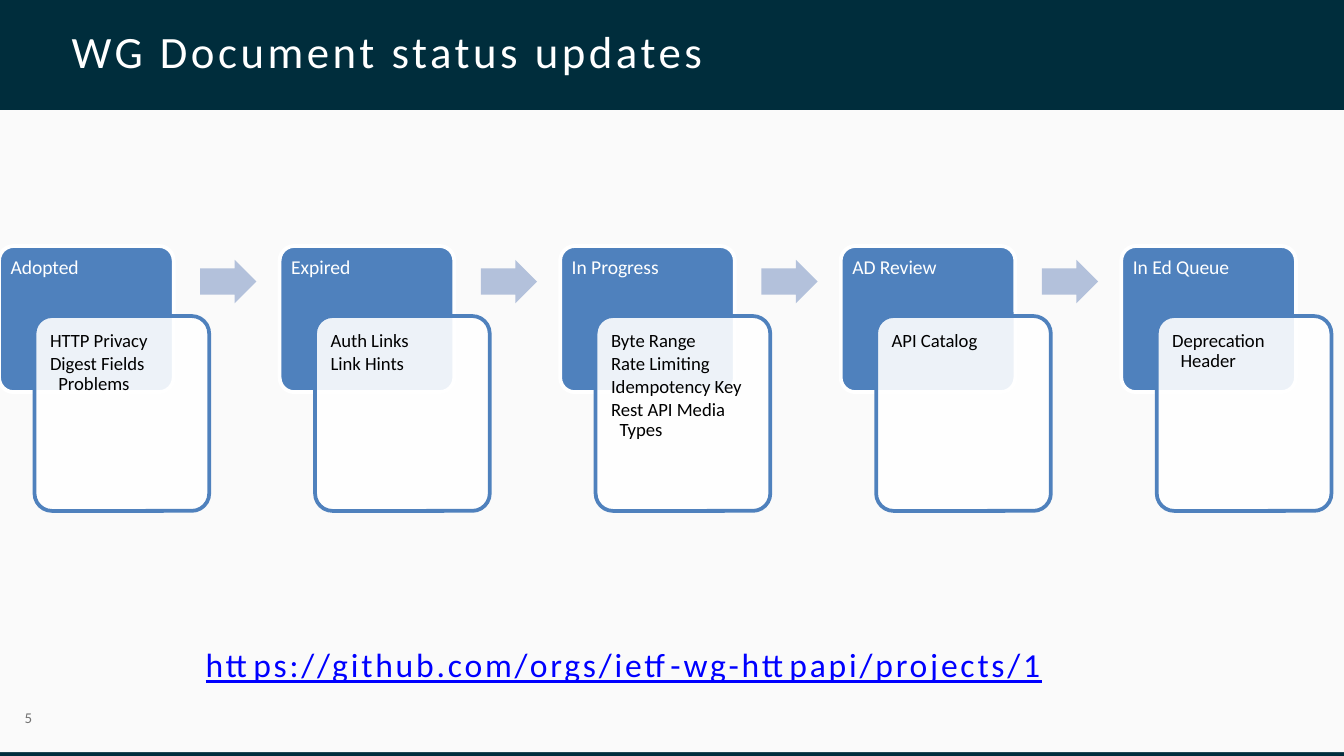
import pptx
import pptx.dml.color
import pptx.enum.shapes
import pptx.enum.text
import pptx.oxml.ns
import pptx.util
from lxml import etree

Pt = pptx.util.Pt
SHAPES = pptx.enum.shapes.MSO_SHAPE

NAVY, PAPER, WHITE, BLACK = "002D3C", "FAFAFA", "FFFFFF", "000000"
BLUE, PALE_BLUE, LINK_BLUE, GREY = "4F81BD", "B3C1DB", "0000FF", "737373"

STAGES = [
    ("Adopted", ["HTTP Privacy", "Digest Fields Problems"]),
    ("Expired", ["Auth Links", "Link Hints"]),
    ("In Progress", ["Byte Range", "Rate Limiting", "Idempotency Key",
                     "Rest API Media Types"]),
    ("AD Review", ["API Catalog"]),
    ("In Ed Queue", ["Deprecation Header"]),
]
FIRST_LEFT, STAGE_PITCH = -0.5, 150.3
STAGE_TOP, STAGE_WIDTH = 131.8, 93.6


def colour(hex_string):
    return pptx.dml.color.RGBColor.from_string(hex_string)


class StatusSlide:
    """Holds the style and the slide being drawn; all lengths are in points."""

    font_name = "Calibri"

    def __init__(self, slide):
        self.shapes = slide.shapes

    def shape(self, kind, left, top, width, height, fill, line=None,
              opacity=None, adjustments=()):
        item = self.shapes.add_shape(kind, Pt(left), Pt(top), Pt(width), Pt(height))
        item.shadow.inherit = False
        for index, value in enumerate(adjustments):
            item.adjustments[index] = value
        item.fill.solid()
        item.fill.fore_color.rgb = colour(fill)
        if opacity is not None:
            srgb = item.fill._xPr.find(".//" + pptx.oxml.ns.qn("a:srgbClr"))
            alpha = etree.SubElement(srgb, pptx.oxml.ns.qn("a:alpha"))
            alpha.set("val", str(opacity * 1000))
        if line:
            item.line.color.rgb = colour(line)
            item.line.width = Pt(2)
        else:
            item.line.fill.background()

    def text(self, lines, left, top, width, height, *, size, color, insets=(0, 0, 0, 0),
             indent=0, hanging=0, tracking=0, line_spacing=None, space_after=0,
             underline=None, wrap=True):
        """Add a text box with one paragraph per line; insets go left, top, right, bottom."""
        box = self.shapes.add_textbox(Pt(left), Pt(top), Pt(width), Pt(height))
        frame = box.text_frame
        frame.word_wrap = wrap
        frame.vertical_anchor = pptx.enum.text.MSO_ANCHOR.TOP
        (frame.margin_left, frame.margin_top,
         frame.margin_right, frame.margin_bottom) = map(Pt, insets)
        for index, line in enumerate(lines):
            paragraph = frame.add_paragraph() if index else frame.paragraphs[0]
            properties = paragraph._p.get_or_add_pPr()
            properties.set("marL", str(Pt(indent)))
            properties.set("indent", str(Pt(-hanging)))
            paragraph.line_spacing = line_spacing
            paragraph.space_after = Pt(space_after)
            run = paragraph.add_run()
            run.text = line
            run.font.name = self.font_name
            run.font.size = Pt(size)
            run.font.color.rgb = colour(color)
            run.font.underline = underline
            if tracking:
                run._r.get_or_add_rPr().set("spc", str(round(tracking * 100)))

    def stage(self, left, heading, documents):
        """Draw a blue heading block with its document card overlapping it."""
        card_left, card_top = left + 19, STAGE_TOP + 37.5
        self.shape(SHAPES.ROUNDED_RECTANGLE, left, STAGE_TOP, STAGE_WIDTH, 78.3,
                   BLUE, line=WHITE, adjustments=[0.1])
        self.text([heading], left, STAGE_TOP, STAGE_WIDTH, 37.5, size=10.5,
                  color=WHITE, insets=(6.2, 6.2, 6.2, 3.5), line_spacing=0.9)
        self.shape(SHAPES.ROUNDED_RECTANGLE, card_left, card_top, STAGE_WIDTH, 104.4,
                   WHITE, line=BLUE, opacity=90, adjustments=[0.1])
        self.text(documents, card_left + 2.7, card_top + 2.7, 88, 98.8, size=10,
                  color=BLACK, insets=(5.6,) * 4, indent=4.5, hanging=4.5,
                  line_spacing=0.9, space_after=1.5)

    def arrow(self, left):
        self.shape(SHAPES.RIGHT_ARROW, left, 139.2, 30.1, 23.3, PALE_BLUE,
                   adjustments=[0.6, 0.5])


def main():
    deck = pptx.Presentation()
    deck.slide_width, deck.slide_height = Pt(720), Pt(405)
    page = StatusSlide(deck.slides.add_slide(deck.slide_layouts[6]))

    page.shape(SHAPES.RECTANGLE, 0, 0, 720, 405, NAVY)
    page.shape(SHAPES.RECTANGLE, 0, 59, 720, 344, PAPER)
    page.text(["WG Document status updates"], 37.4, 11.5, 538.6, 59, size=24,
              color=WHITE, insets=(0, 1, 0, 0), indent=1, tracking=1.9)
    page.text(["https://github.com/orgs/ietf-wg-httpapi/projects/1"],
              102.2, 340.6, 538.6, 26, size=18, color=LINK_BLUE,
              insets=(0, 4.5, 0, 0), indent=8, tracking=1.5, underline=True)
    page.text(["5"], 12.2, 378.7, 6.5, 11.5, size=8, color=GREY,
              insets=(0, 1, 0, 0), indent=1, tracking=0.5, wrap=False)

    for index, (heading, documents) in enumerate(STAGES):
        left = FIRST_LEFT + index * STAGE_PITCH
        page.stage(left, heading, documents)
        if index < len(STAGES) - 1:
            page.arrow(left + 107.8)

    deck.save("out.pptx")


if __name__ == "__main__":
    main()
